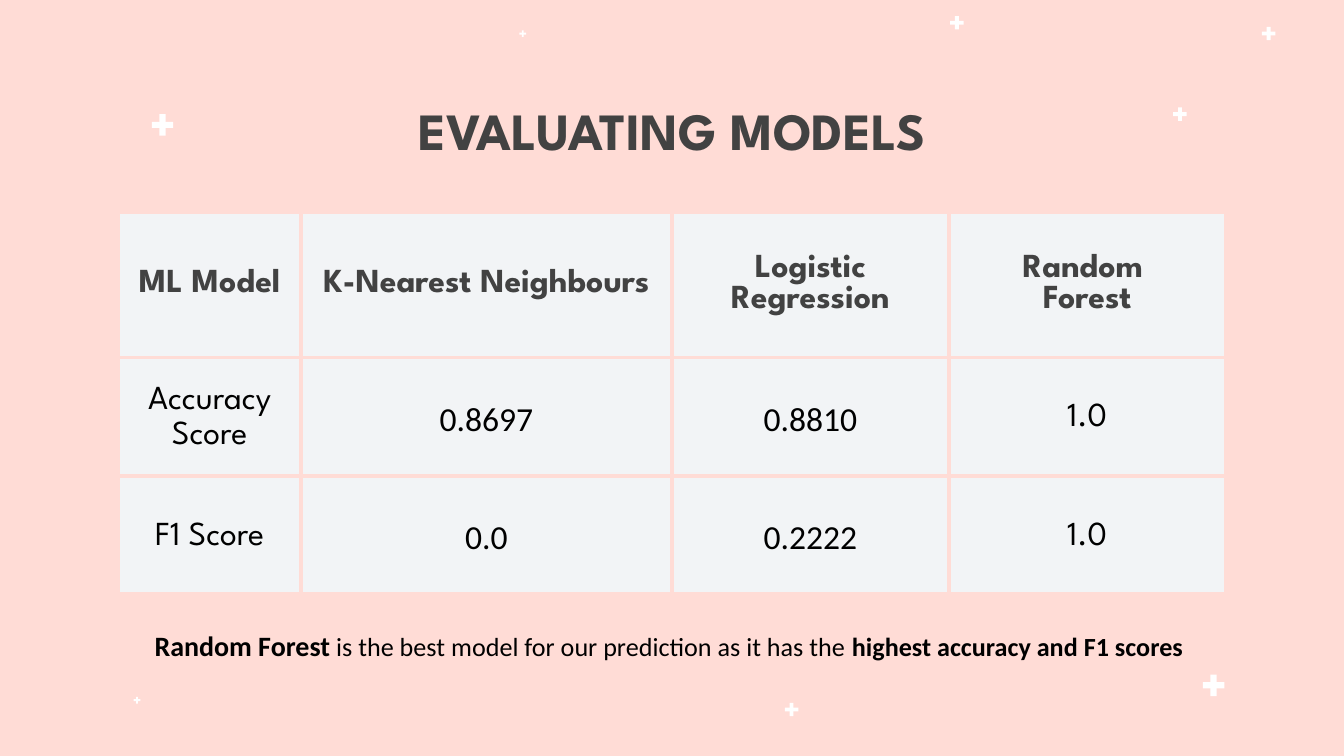
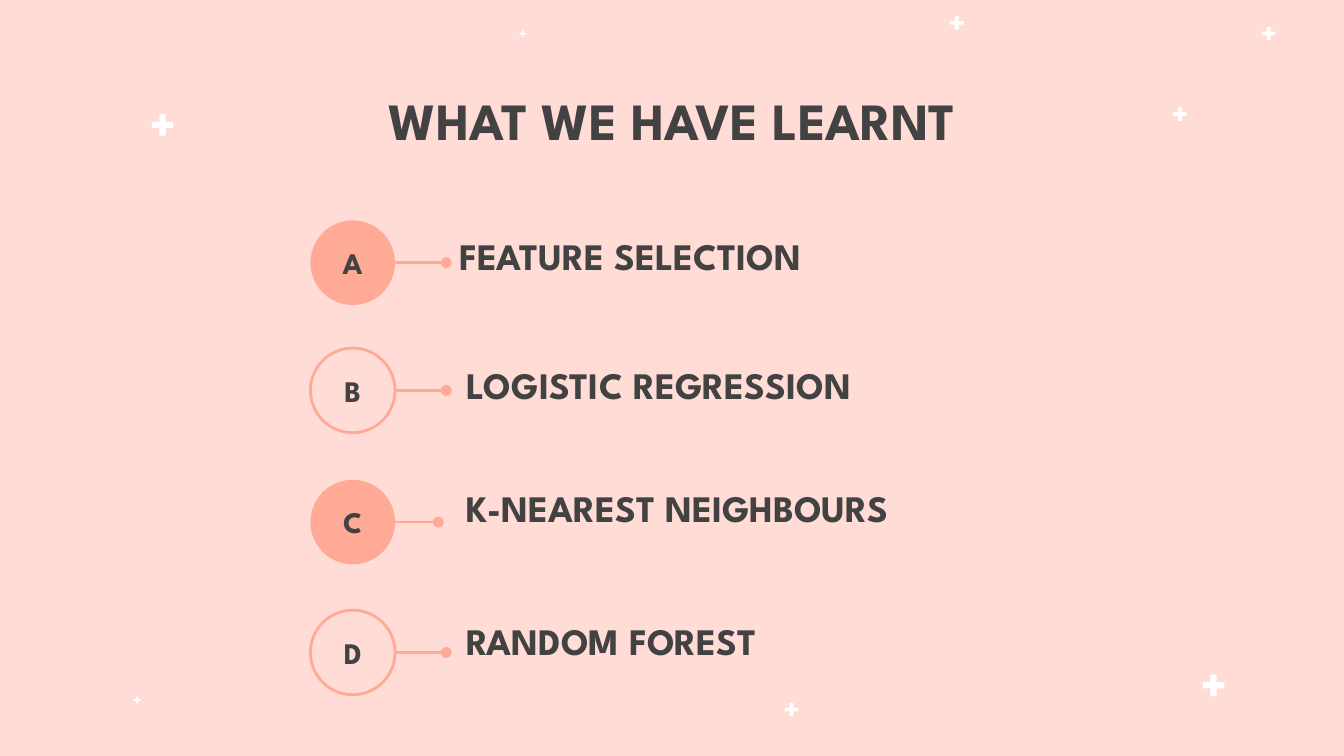
from lxml import etree
from pptx import Presentation
from pptx.dml.color import RGBColor
from pptx.enum.shapes import MSO_CONNECTOR, MSO_SHAPE
from pptx.enum.text import MSO_ANCHOR, MSO_AUTO_SIZE, PP_ALIGN
from pptx.oxml.ns import qn
from pptx.util import Inches, Pt

CENTER, LEFT = PP_ALIGN.CENTER, PP_ALIGN.LEFT
TOP, MIDDLE, BOTTOM = MSO_ANCHOR.TOP, MSO_ANCHOR.MIDDLE, MSO_ANCHOR.BOTTOM
OVAL, BAR = MSO_SHAPE.OVAL, MSO_SHAPE.RECTANGLE

# Shared look
SLIDE_W, SLIDE_H = 10, 5.625
PINK, CORAL, WHITE = "FFDCD6", "FFAA97", "FFFFFF"
CELL, DARK, BLACK = "F2F4F6", "424242", "000000"
HEADING, PLAIN = "League Spartan", "Calibri"
INSET = 0.1

# Sparkles: centre x, centre y, size
SPARKLES = [
    (1.21, 0.93, 0.16), (8.78, 0.85, 0.1), (7.12, 0.17, 0.1), (3.89, 0.25, 0.05),
    (5.89, 5.28, 0.1), (1.02, 5.21, 0.05), (9.44, 0.25, 0.1), (9.03, 5.1, 0.16),
]
ARM_SHARE = 0.29

# Slide 1
MODELS_TITLE = "EVALUATING MODELS"
MODELS = [
    ["ML Model", "K-Nearest Neighbours", "Logistic Regression", "Random \nForest"],
    ["Accuracy Score", "0.8697", "0.8810", "1.0"],
    ["F1 Score", "0.0", "0.2222", "1.0"],
]
BODY_FONTS = [HEADING, PLAIN, PLAIN, HEADING]
COLUMNS = [1.36, 2.76, 2.06, 2.06]
ROWS = [1.08, 0.88, 0.88]
CONCLUSION = [
    ("Random Forest", 15, True),
    (" is the best model for our prediction as it has the ", 14, False),
    ("highest accuracy and F1 scores ", 14, True),
]

# Slide 2: letter, lesson, circle top, label left, label top, filled, line start
LESSONS_TITLE = "WHAT WE HAVE LEARNT"
LESSONS = [
    ("A", "FEATURE SELECTION", 1.64, 3.32, 1.68, True, 2.94),
    ("B", "LOGISTIC REGRESSION", 2.59, 3.37, 2.64, False, 2.94),
    ("C", "K-NEAREST NEIGHBOURS", 3.57, 3.37, 3.55, True, 2.88),
    ("D", "RANDOM FOREST", 4.54, 3.37, 4.54, False, 2.94),
]
CIRCLE_LEFT, CIRCLE, LINE_LENGTH = 2.31, 0.63, 0.38


def rgb(value):
    return RGBColor.from_string(value)


def box(*lengths):
    return [Inches(length) for length in lengths]


def style(font, size, color=DARK, bold=True, name=HEADING):
    font.name, font.size, font.bold = name, Pt(size), bold
    font.color.rgb = rgb(color)


def set_frame(frame, anchor):
    frame.word_wrap = True
    frame.auto_size = MSO_AUTO_SIZE.NONE
    frame.vertical_anchor = anchor
    frame.margin_left = frame.margin_right = Inches(INSET)
    frame.margin_top = frame.margin_bottom = Inches(INSET)


def write(frame, text, size, align=CENTER, anchor=MIDDLE):
    set_frame(frame, anchor)
    frame.text = text
    for paragraph in frame.paragraphs:
        paragraph.alignment = align
        style(paragraph.font, size)


def add_shape(shapes, kind, place, fill=None, outline=None):
    shape = shapes.add_shape(kind, *box(*place))
    shape.shadow.inherit = False
    if fill:
        shape.fill.solid()
        shape.fill.fore_color.rgb = rgb(fill)
    else:
        shape.fill.background()
    if outline:
        shape.line.color.rgb = rgb(outline)
        shape.line.width = Pt(1.5)
    else:
        shape.line.fill.background()
    return shape


def add_titled_slide(deck, layout, title, top):
    slide = deck.slides.add_slide(layout)
    heading = slide.shapes.title
    heading.left, heading.top, heading.width, heading.height = box(
        0.78, top, SLIDE_W - 2 * 0.78, 0.63)
    write(heading.text_frame, title, 28, anchor=BOTTOM)
    return slide


def move_sparkles_to_layout(slide, layout):
    """Draw the sparkles once and let every slide inherit them."""
    groups = []
    for x, y, size in SPARKLES:
        sparkle = slide.shapes.add_group_shape()
        arm = size * ARM_SHARE
        for width, height in ((arm, size), (size, arm)):
            add_shape(sparkle.shapes, BAR,
                      (x - width / 2, y - height / 2, width, height), WHITE)
        groups.append(sparkle)
    for sparkle in groups:
        layout.shapes.element.append(sparkle.element)


def add_border(cell):
    properties = cell._tc.get_or_add_tcPr()
    for side in ("lnL", "lnR", "lnT", "lnB"):
        edge = etree.SubElement(properties, qn(f"a:{side}"), w=str(Pt(2.25)))
        fill = etree.SubElement(edge, qn("a:solidFill"))
        etree.SubElement(fill, qn("a:srgbClr"), val=PINK)


def fill_models(slide):
    # Score table
    table = slide.shapes.add_table(
        len(ROWS), len(COLUMNS), *box(0.88, 1.58, sum(COLUMNS), sum(ROWS))).table
    for column, width in zip(table.columns, COLUMNS):
        column.width = Inches(width)
    for row, height in zip(table.rows, ROWS):
        row.height = Inches(height)
    for r, texts in enumerate(MODELS):
        for c, text in enumerate(texts):
            cell = table.cell(r, c)
            add_border(cell)
            cell.fill.solid()
            cell.fill.fore_color.rgb = rgb(CELL)
            cell.vertical_anchor = MIDDLE
            cell.margin_left = cell.margin_right = Inches(INSET)
            cell.margin_top = cell.margin_bottom = Inches(INSET)
            cell.text = text
            for paragraph in cell.text_frame.paragraphs:
                paragraph.alignment = CENTER
                if r == 0:
                    style(paragraph.font, 18)
                else:
                    paragraph.line_spacing = 1.15
                    style(paragraph.font, 18, BLACK, False, BODY_FONTS[c])

    # Conclusion
    frame = slide.shapes.add_textbox(*box(0.61, 4.58, 8.78, 0.45)).text_frame
    set_frame(frame, TOP)
    paragraph = frame.paragraphs[0]
    paragraph.alignment = CENTER
    for text, size, bold in CONCLUSION:
        run = paragraph.add_run()
        run.text = text
        style(run.font, size, BLACK, bold, PLAIN)


def add_pointer(slide, start, y):
    pointer = slide.shapes.add_connector(
        MSO_CONNECTOR.STRAIGHT, *box(start, y, start + LINE_LENGTH, y))
    pointer.line.color.rgb = rgb(CORAL)
    pointer.line.width = Pt(1.5)
    properties = pointer.element.spPr
    etree.SubElement(properties.find(qn("a:ln")), qn("a:tailEnd"), type="oval")
    etree.SubElement(properties, qn("a:effectLst"))


def fill_lessons(slide):
    for letter, lesson, top, label_left, label_top, filled, start in LESSONS:
        circle = add_shape(slide.shapes, OVAL, (CIRCLE_LEFT, top, CIRCLE, CIRCLE),
                           CORAL if filled else None, None if filled else CORAL)
        write(circle.text_frame, letter, 16)
        add_pointer(slide, start, top + CIRCLE / 2)
        label = slide.shapes.add_textbox(*box(label_left, label_top, 4.18, 0.49))
        write(label.text_frame, lesson, 20, LEFT, BOTTOM)


def main():
    deck = Presentation()
    deck.slide_width, deck.slide_height = box(SLIDE_W, SLIDE_H)
    background = deck.slide_master.background.fill
    background.solid()
    background.fore_color.rgb = rgb(PINK)

    # Title-only layout without date, footer and number
    layout = deck.slide_layouts[5]
    for placeholder in list(layout.placeholders)[1:]:
        layout.shapes.element.remove(placeholder.element)

    models = add_titled_slide(deck, layout, MODELS_TITLE, 0.67)
    move_sparkles_to_layout(models, layout)
    fill_models(models)
    fill_lessons(add_titled_slide(deck, layout, LESSONS_TITLE, 0.59))
    deck.save("out.pptx")


if __name__ == "__main__":
    main()
